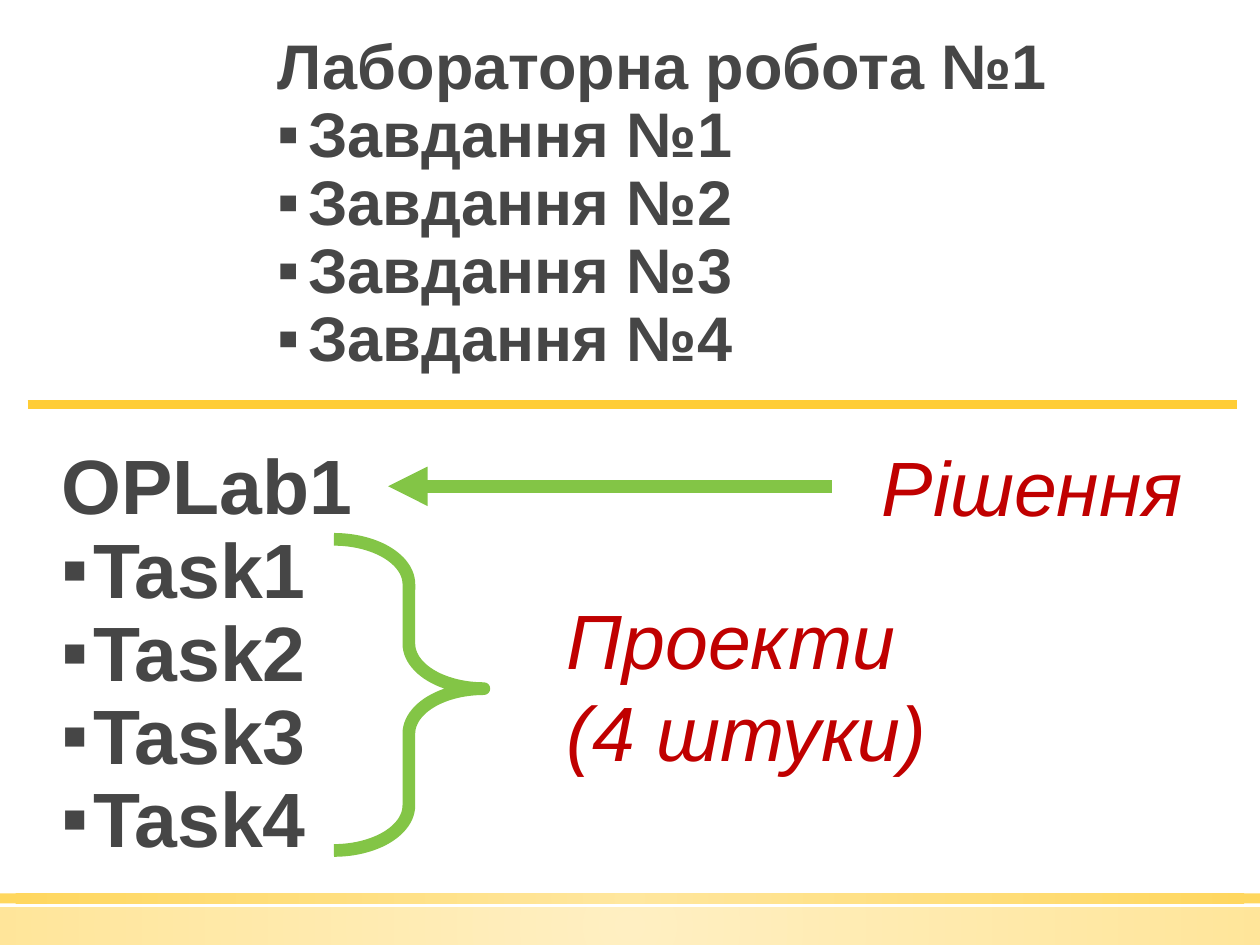
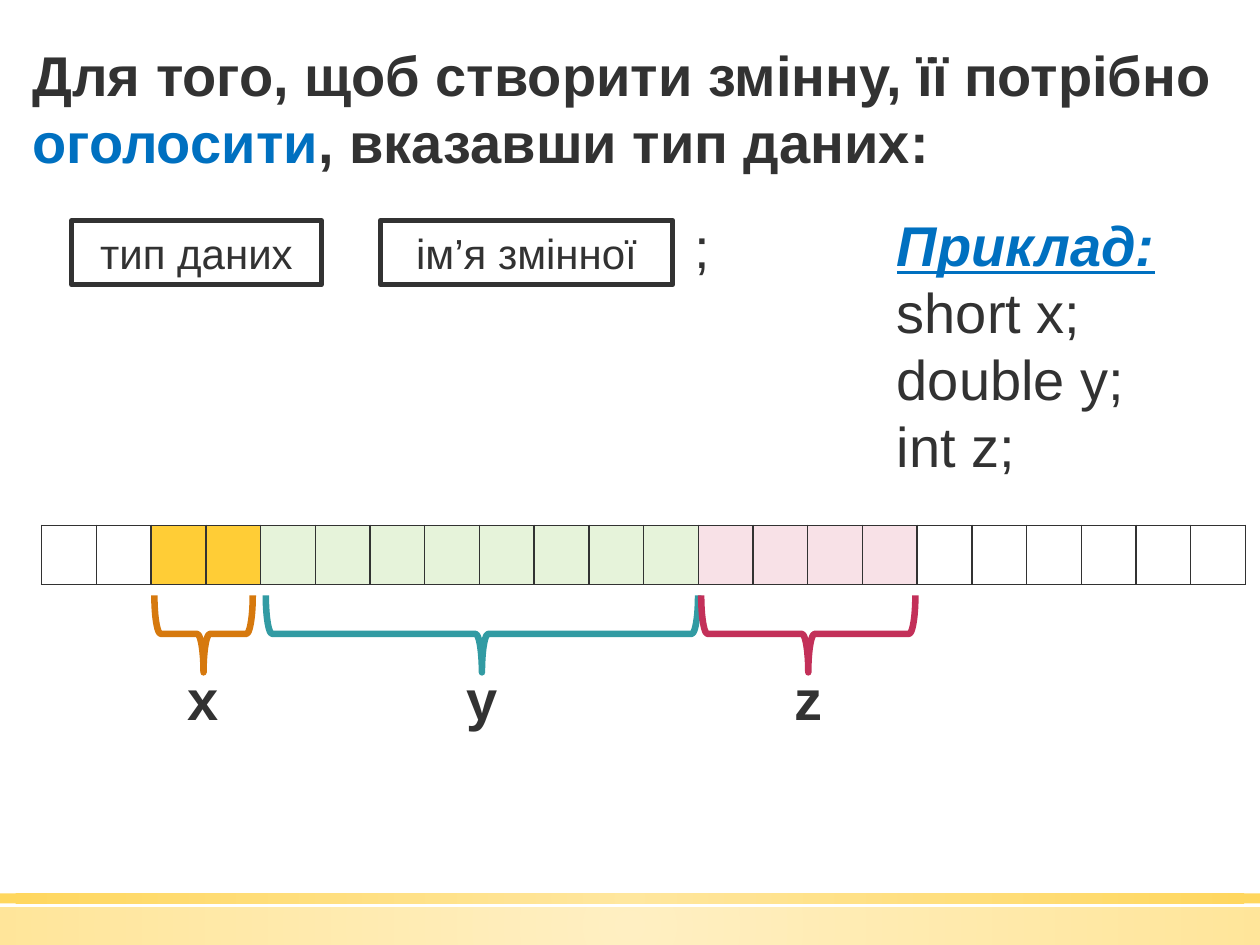
from lxml import etree
from pptx import Presentation
from pptx.dml.color import RGBColor
from pptx.enum import shapes, text
from pptx.oxml import ns
from pptx.util import Pt

# Shared look
FONT = "Arial"
GOLD = RGBColor(0xFF, 0xCD, 0x36)
PALE_GOLD = RGBColor(0xFF, 0xE1, 0x86)
GREY = RGBColor(0x46, 0x46, 0x46)
INK = RGBColor(0x32, 0x32, 0x32)
RED = RGBColor(0xC0, 0x00, 0x00)
BLUE = RGBColor(0x00, 0x70, 0xC0)
GREEN = RGBColor(0x83, 0xC5, 0x46)
ORANGE = RGBColor(0xD6, 0x79, 0x0E)
TEAL = RGBColor(0x32, 0x9B, 0xA3)
CRIMSON = RGBColor(0xC3, 0x30, 0x59)
PALE_GREEN = RGBColor(0xE6, 0xF3, 0xDA)
PALE_PINK = RGBColor(0xF8, 0xE1, 0xE7)
SLIDE_W, SLIDE_H = 720, 540
BANDS = [(518.4, 21.6, 50), (510.5, 5.8, 80)]  # top, height, opacity %

# Slide 1: solution and its projects
# heading, items, size, box
LISTS = [
    ("Лабораторна робота №1", [f"Завдання №{n}" for n in range(1, 5)],
     36, (147.6, 16.6, 483, 202.3)),
    ("OPLab1", [f"Task{n}" for n in range(1, 5)],
     44, (24.5, 252.7, 483, 260.6)),
]
CALLOUTS = [
    ("Рішення", (496.8, 247.7, 187.2, 60.5)),
    ("Проекти \v(4 штуки)", (316.8, 334.8, 221.8, 113.8)),
]

# Slide 2: declaring a variable
RULE = [("Для того, щоб створити змінну, її потрібно ", INK),
        ("оголосити", BLUE),
        (", вказавши тип даних:", INK)]
SYNTAX = [("тип даних", 41, 142.6), ("ім’я змінної", 217.4, 167)]  # left, width
EXAMPLE = ["Приклад:", "short x;", "double y;", "int z;"]
MEMORY = [(2, None), (2, GOLD), (8, PALE_GREEN), (4, PALE_PINK), (6, None)]
VARIABLES = [("x", ORANGE, 116.3, 56.2),  # brace centre and length
             ("y", TEAL, 275.4, 247),
             ("z", CRIMSON, 461.9, 122.4)]


def sub(parent, tag, **attrs):
    return etree.SubElement(parent, ns.qn(tag), **attrs)


def style(r, size, color, bold=False, italic=False, underline=False):
    f = r.font
    f.name, f.size, f.color.rgb = FONT, Pt(size), color
    f.bold, f.italic, f.underline = bold, italic, underline


def style_all(p, *look, **flags):
    for r in p.runs:
        style(r, *look, **flags)


def add_box(s, box, wrap=True):
    tf = s.shapes.add_textbox(*map(Pt, box)).text_frame
    tf.word_wrap = wrap
    return tf


def add_lines(tf, lines):
    tf.text = "\n".join(lines)
    return tf.paragraphs


def add_outline(s, kind, box, color, width):
    sp = s.shapes.add_shape(kind, *map(Pt, box))
    sp.shadow.inherit = False
    sp.fill.background()
    sp.line.color.rgb, sp.line.width = color, Pt(width)
    return sp


def add_line(s, x1, x2, y, color, width, arrow=False):
    c = s.shapes.add_connector(shapes.MSO_CONNECTOR.STRAIGHT, Pt(x1), Pt(y), Pt(x2), Pt(y))
    c.line.color.rgb, c.line.width = color, Pt(width)
    if arrow:
        sub(c.line._get_or_add_ln(), "a:tailEnd", type="triangle")
    sub(c._element.spPr, "a:effectLst")


def add_band(s, top, height, opacity):
    sp = s.shapes.add_shape(shapes.MSO_SHAPE.RECTANGLE, 0, Pt(top), Pt(SLIDE_W), Pt(height))
    sp.shadow.inherit = False
    sp.line.fill.background()
    grad = etree.Element(ns.qn("a:gradFill"), rotWithShape="1")
    stops = sub(grad, "a:gsLst")
    for pos, color in ((0, PALE_GOLD), (100, GOLD)):
        clr = sub(sub(stops, "a:gs", pos=str(pos * 1000)), "a:srgbClr", val=str(color))
        sub(clr, "a:alpha", val=str(opacity * 1000))
    sub(sub(grad, "a:path", path="circle"), "a:fillToRect",
        **dict.fromkeys("ltrb", "50000"))
    sp._element.spPr.find(ns.qn("a:prstGeom")).addnext(grad)


def new_slide(prs):
    s = prs.slides.add_slide(prs.slide_layouts[6])
    for band in BANDS:
        add_band(s, *band)
    return s


def indent(p, left, first=0):
    pPr = p._p.get_or_add_pPr()
    pPr.set("marL", str(Pt(left)))
    pPr.set("indent", str(Pt(first)))
    return pPr


def add_list(s, heading, items, size, box):
    for i, p in enumerate(add_lines(add_box(s, box), [heading] + items)):
        p.line_spacing = 0.9
        style_all(p, size, GREY, bold=True)
        if i == 0:
            indent(p, 3.6)
        else:
            pPr = indent(p, 21.6, -18)
            sub(pPr, "a:buFont", typeface=FONT)
            sub(pPr, "a:buChar", char="▪")


def add_memory(s, left, top, width, height):
    fills = [color for count, color in MEMORY for _ in range(count)]
    table = s.shapes.add_table(1, len(fills), Pt(left), Pt(top), Pt(width), Pt(height)).table
    table.first_row = table.horz_banding = False
    for i, color in enumerate(fills):
        table.columns[i].width = Pt(width / len(fills))
        cell = table.cell(0, i)
        tcPr = cell._tc.get_or_add_tcPr()
        for side in "LRTB":
            ln = sub(tcPr, f"a:ln{side}", w=str(Pt(1)))
            sub(sub(ln, "a:solidFill"), "a:srgbClr", val=str(INK))
        if color is None:
            cell.fill.background()
        else:
            cell.fill.solid()
            cell.fill.fore_color.rgb = color


def build_solution(prs):
    s = new_slide(prs)
    for block in LISTS:
        add_list(s, *block)
    add_line(s, 475.2, 221.8, 277.9, GREEN, 7.5, arrow=True)
    brace = add_outline(s, shapes.MSO_SHAPE.RIGHT_BRACE, (190.8, 308.2, 85.7, 177.8), GREEN, 7.25)
    brace.adjustments[0], brace.adjustments[1] = 0.3, 0.48
    for label, box in CALLOUTS:
        tf = add_box(s, box, wrap=False)
        p = tf.paragraphs[0]
        p.text = label
        style_all(p, 44, RED, italic=True)
    add_line(s, 15.8, 707, 231.1, GOLD, 5.5)


def build_declaration(prs):
    s = new_slide(prs)

    # Rule
    p = add_box(s, (7.9, 19.4, 712, 85)).paragraphs[0]
    indent(p, 3.6)
    for words, color in RULE:
        r = p.add_run()
        r.text = words
        style(r, 32, color, bold=True)

    # Syntax boxes and closing semicolon
    for label, left, width in SYNTAX:
        sp = add_outline(s, shapes.MSO_SHAPE.RECTANGLE, (left, 126, width, 36.7), INK, 3)
        tf = sp.text_frame
        tf.text, tf.word_wrap = label, True
        tf.vertical_anchor = text.MSO_ANCHOR.MIDDLE
        p = tf.paragraphs[0]
        p.alignment = text.PP_ALIGN.CENTER
        style_all(p, 24, INK)
    p, = add_lines(add_box(s, (389.5, 118.1, 167, 46)), [";"])
    style_all(p, 32, INK)

    # Example
    title, *code = add_lines(add_box(s, (505.4, 116.6, 212.4, 162.7)), EXAMPLE)
    style_all(title, 32, BLUE, bold=True, italic=True, underline=True)
    for p in code:
        style_all(p, 32, INK)

    # Memory cells with a brace and a name under each variable
    add_memory(s, 23.8, 300.2, 688.3, 33.8)
    depth, middle, label_w = 44, 362.2, 36
    for name, color, centre, length in VARIABLES:
        p, = add_lines(add_box(s, (centre - label_w / 2, 376, label_w, 46)), [name])
        p.alignment = text.PP_ALIGN.CENTER
        style_all(p, 32, INK, bold=True)
        box = (centre - depth / 2, middle - length / 2, depth, length)
        add_outline(s, shapes.MSO_SHAPE.LEFT_BRACE, box, color, 3.75).rotation = 270


def main():
    prs = Presentation()
    prs.slide_width, prs.slide_height = Pt(SLIDE_W), Pt(SLIDE_H)
    build_solution(prs)
    build_declaration(prs)
    prs.save("out.pptx")


if __name__ == "__main__":
    main()
